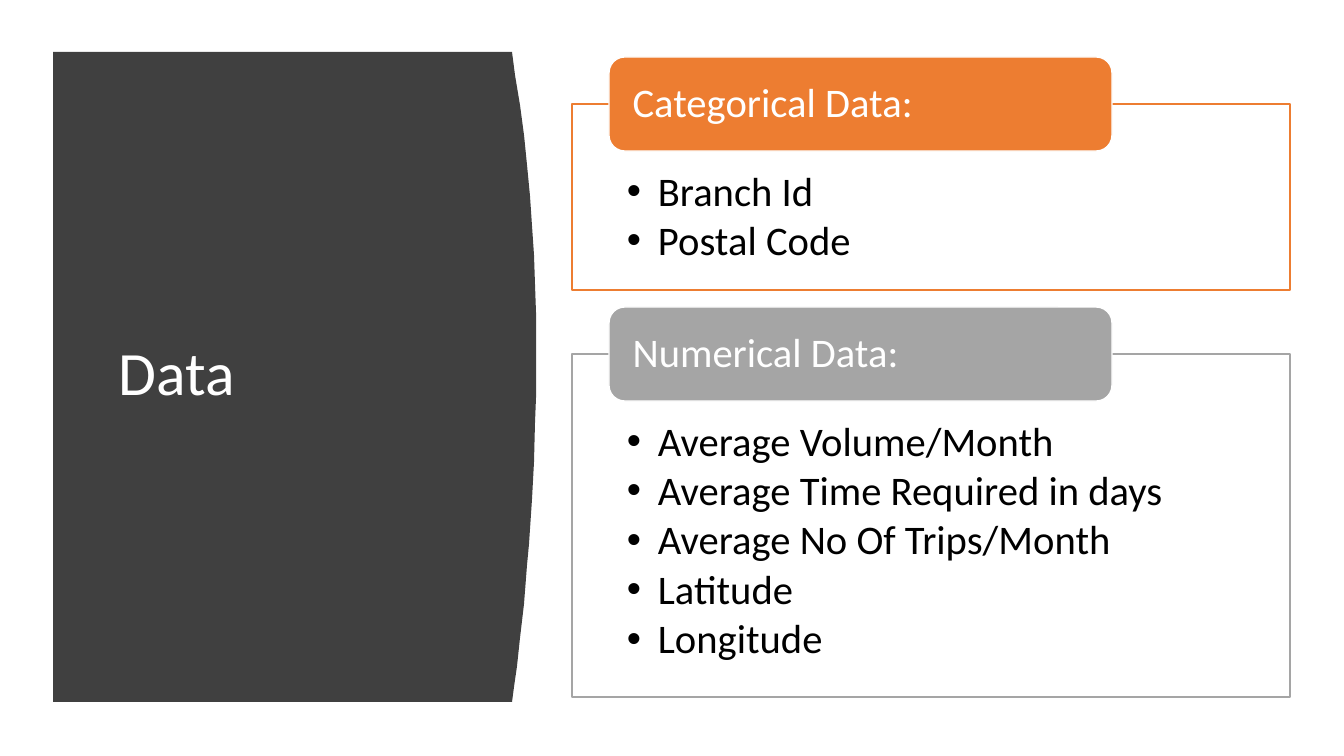
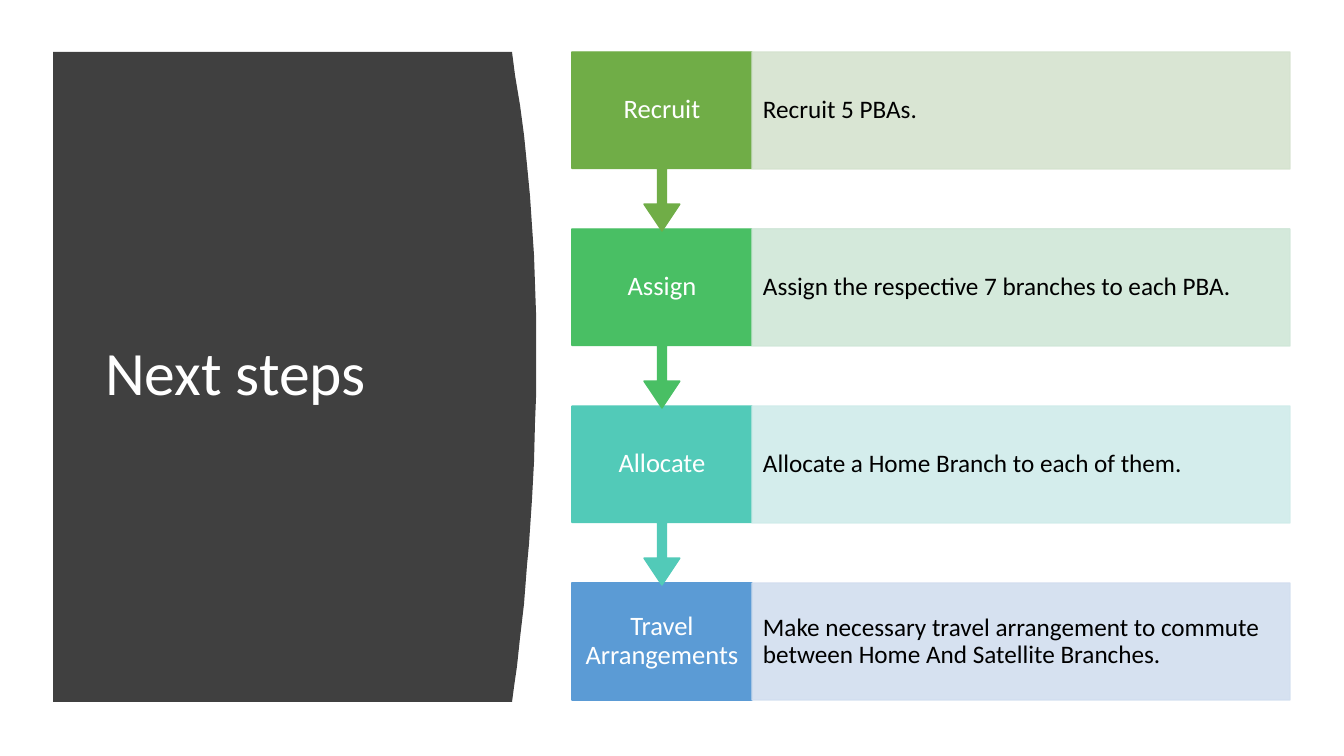
from lxml import etree
from pptx import Presentation
from pptx.dml.color import RGBColor
from pptx.enum.shapes import MSO_SHAPE
from pptx.enum.text import MSO_ANCHOR, PP_ALIGN
from pptx.oxml.ns import qn
from pptx.util import Emu, Pt

RECT, ROUND = MSO_SHAPE.RECTANGLE, MSO_SHAPE.ROUNDED_RECTANGLE
CALLOUT = MSO_SHAPE.DOWN_ARROW_CALLOUT
TOP, MIDDLE = MSO_ANCHOR.TOP, MSO_ANCHOR.MIDDLE
LEFT, CENTER = PP_ALIGN.LEFT, PP_ALIGN.CENTER
UNIT = 914400 / 100.8
SIDES = ("margin_left", "margin_top", "margin_right", "margin_bottom")


class Theme:
    font = "Calibri"
    white, black, dark = "FFFFFF", "000000", "404040"
    orange, gray = "ED7D31", "A5A5A5"
    green, mint, teal, blue = "70AD47", "49BF64", "52CAB8", "5B9BD5"
    pales = ("D5E3CF", "D0E7D8", "D0ECEA", "D2DEEF")
    title = {"size": 44, "ink": white, "pad": (10, 5, 10, 5),
             "anchor": MIDDLE, "align": LEFT, "after": 0}
    head = {**title, "size": 29, "pad": (19, 0, 19, 0)}
    items = {**head, "ink": black, "pad": (55, 67, 55, 23),
             "anchor": TOP, "after": 4}
    step = {**title, "size": 19, "pad": (12, 15, 12, 15), "align": CENTER}
    note = {**title, "size": 18, "ink": black, "pad": (11, 25, 11, 25)}


def px(*values):
    return [Emu(round(value * UNIT)) for value in values]


def write(shape, look, lines):
    frame = shape.text_frame
    sides = dict(zip(SIDES, px(*look["pad"])))
    for key, value in {**sides, "word_wrap": True,
                       "vertical_anchor": look["anchor"]}.items():
        setattr(frame, key, value)
    for pos, line in enumerate(lines):
        para = frame.add_paragraph() if pos else frame.paragraphs[0]
        for key, value in {"alignment": look["align"], "line_spacing": 0.9,
                           "space_before": Pt(0),
                           "space_after": Pt(look["after"])}.items():
            setattr(para, key, value)
        run = para.add_run()
        run.text = line
        for key, value in {"name": Theme.font, "size": Pt(look["size"]),
                           "bold": False}.items():
            setattr(run.font, key, value)
        run.font.color.rgb = RGBColor.from_string(look["ink"])


deck = Presentation()
deck.slide_width, deck.slide_height = px(1344, 756)

edge = [(512, 52), (515, 75), (520, 105), (524, 135), (527, 165), (530, 196),
        (532, 226), (534, 255), (535, 284), (536, 313), (536, 397), (535, 423),
        (534, 462), (532, 499), (529, 544), (527, 565), (524, 604), (520, 638),
        (517, 666), (514, 687), (512, 702), (53, 702)]

groups = [
    ("Categorical Data:", Theme.orange, 104, 186, ["Branch Id", "Postal Code"]),
    ("Numerical Data:", Theme.gray, 354, 343,
     ["Average Volume/Month", "Average Time Required in days",
      "Average No Of Trips/Month", "Latitude", "Longitude"]),
]
steps = [
    ("Recruit", Theme.green, "Recruit 5 PBAs."),
    ("Assign", Theme.mint, "Assign the respective 7 branches to each PBA."),
    ("Allocate", Theme.teal, "Allocate a Home Branch to each of them."),
    ("Travel Arrangements", Theme.blue,
     "Make necessary travel arrangement to commute between Home And Satellite Branches."),
]

data = []
for name, color, top, high, items in groups:
    data += [(RECT, (572, top, 718, high), Theme.white, color, Theme.items, items),
             (ROUND, (609, top - 47, 503, 94), color, Theme.white, Theme.head, [name])]

plan = []
for row, (name, color, note) in reversed(list(enumerate(steps))):
    top = 52 + 177 * row
    last = row == len(steps) - 1
    kind, high = (RECT, 117) if last else (CALLOUT, 179)
    pale = Theme.pales[row]
    plan += [(kind, (572, top, 180, high), color, color, Theme.step, [name]),
             (RECT, (752, top, 538, 117), pale, pale, Theme.note, [note])]

for head, parts in ((" Data", data), ("Next steps", plan)):
    slide = deck.slides.add_slide(deck.slide_layouts[5])
    shapes = slide.shapes
    title = shapes.title
    title.left, title.top, title.width, title.height = px(95, 112, 377, 528)
    write(title, Theme.title, [head])

    maker = shapes.build_freeform(53, 52, scale=UNIT)
    maker.add_line_segments(edge, close=True)
    panel = maker.convert_to_shape()
    panel.shadow.inherit = False
    panel.fill.solid()
    panel.fill.fore_color.rgb = RGBColor.from_string(Theme.dark)
    panel.line.fill.background()
    shapes.element.insert(2, panel.element)

    for kind, area, fill, line, look, lines in parts:
        shape = shapes.add_shape(kind, *px(*area))
        shape.shadow.inherit = False
        shape.fill.solid()
        shape.fill.fore_color.rgb = RGBColor.from_string(fill)
        shape.line.color.rgb = RGBColor.from_string(line)
        shape.line.width = Pt(1)
        write(shape, look, lines)
        if kind == CALLOUT:
            for pos, value in enumerate((0.05, 0.1, 0.15, 0.65)):
                shape.adjustments[pos] = value
        if look is Theme.note:
            for color in shape.element.spPr.iter(qn("a:srgbClr")):
                etree.SubElement(color, qn("a:alpha"), val="90000")
        if look is Theme.items:
            dent = px(31)[0]
            for para in shape.text_frame.paragraphs:
                props = para._p.get_or_add_pPr()
                props.set("marL", str(dent))
                props.set("indent", str(-dent))
                etree.SubElement(props, qn("a:buFont"), typeface="Arial")
                etree.SubElement(props, qn("a:buChar"), char="•")

deck.save("out.pptx")
